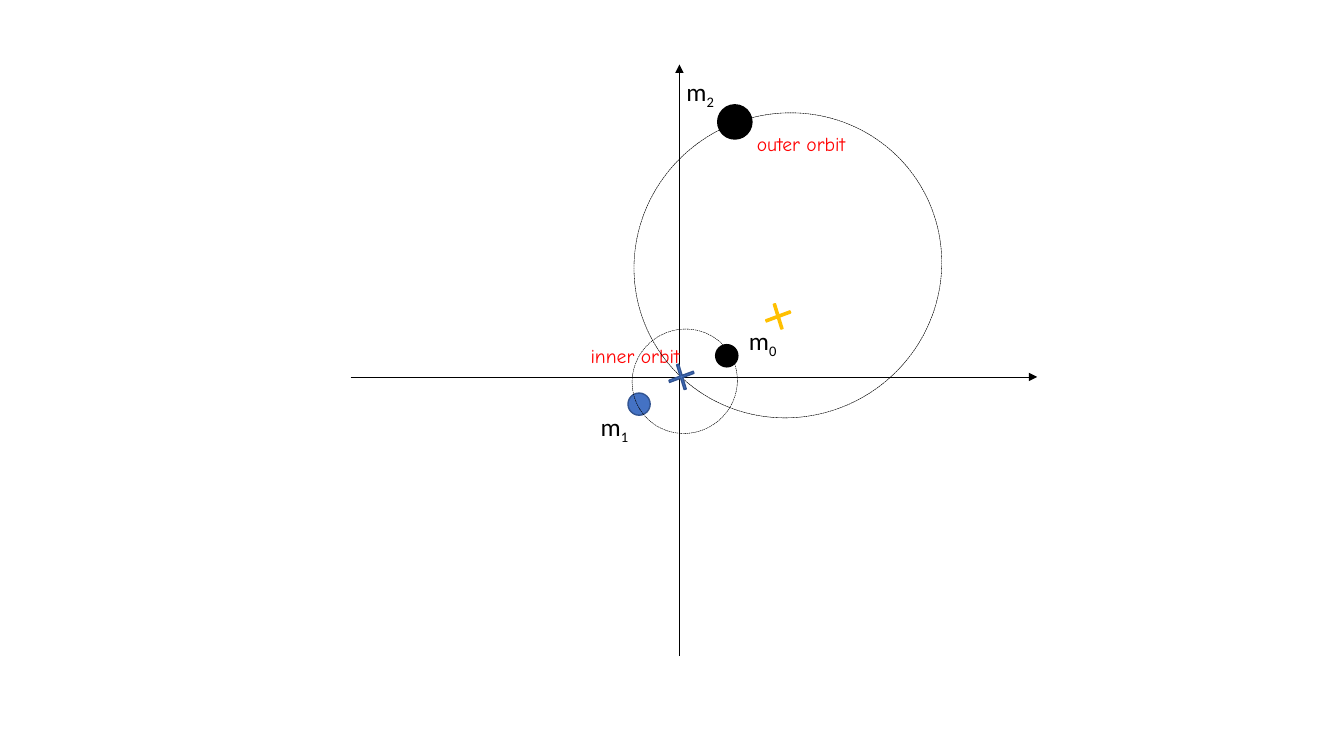
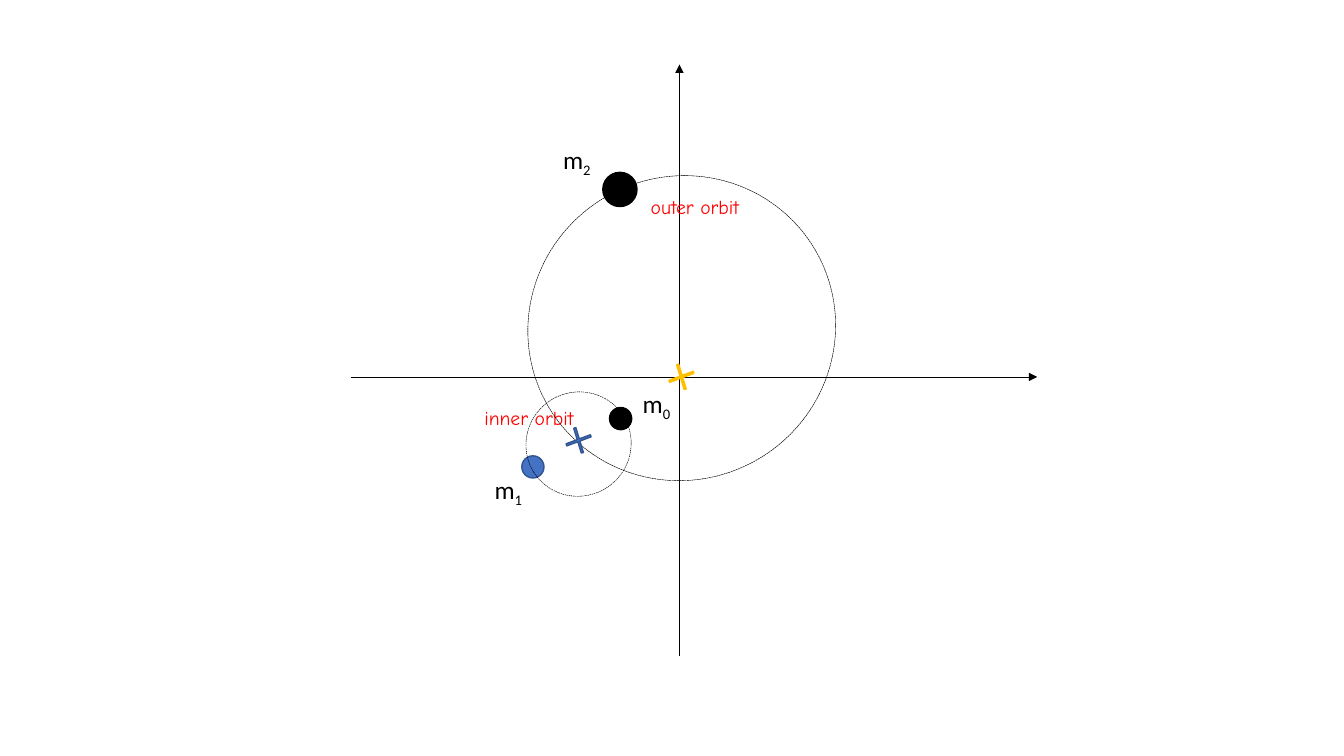
import lxml.etree
import pptx
import pptx.dml.color
import pptx.enum.dml
import pptx.enum.shapes
import pptx.enum.text
import pptx.oxml.ns
import pptx.util

SHAPE = pptx.enum.shapes.MSO_SHAPE
DASH = pptx.enum.dml.MSO_LINE

SLIDE_WIDTH = pptx.util.Inches(13.33)
SLIDE_HEIGHT = pptx.util.Inches(7.5)
CELL = SLIDE_WIDTH / 40
ORIGIN = (20.22, 11.22)  # crossing of the axes, in cells from the top left

BLACK, BLUE, DARK_BLUE = "000000", "4472C4", "325491"
GOLD, RED = "FFC000", "FF0000"

# All positions are centres in cells from the origin, with y pointing down.
ORIGIN_MARK = (0.06, 0)
SCENES = [
    {"shift": (0, 0), "m2": (1.65, -7.59), "m2_label": (-1, -0.9),
     "inner_centre": ORIGIN_MARK, "outer_centre": (2.94, -1.8)},
    {"shift": (-3.16, 1.87), "m2": (-1.77, -5.58), "m2_label": (-1.25, -0.9),
     "inner_centre": (-3, 1.89), "outer_centre": ORIGIN_MARK},
]


def colour(hex_string):
    return pptx.dml.color.RGBColor.from_string(hex_string)


def moved(point, offset):
    return point[0] + offset[0], point[1] + offset[1]


def on_slide(point):
    """Turn cells from the origin into slide lengths."""
    return [round(value * CELL) for value in moved(point, ORIGIN)]


def box(centre, size):
    """Left, top, width and height of a box around a centre."""
    corner = moved(centre, (-size[0] / 2, -size[1] / 2))
    return on_slide(corner) + [round(value * CELL) for value in size]


def style_line(line, line_colour, width, dash=None):
    line.color.rgb = colour(line_colour)
    line.width = pptx.util.Pt(width)
    if dash is not None:
        line.dash_style = dash


def add_axis(slide, start, end):
    axis = slide.shapes.add_connector(
        pptx.enum.shapes.MSO_CONNECTOR.STRAIGHT, *on_slide(start), *on_slide(end))
    style_line(axis.line, BLACK, 0.5)
    qn = pptx.oxml.ns.qn
    properties = axis._element.spPr
    lxml.etree.SubElement(properties.find(qn("a:ln")), qn("a:tailEnd"), type="triangle")
    lxml.etree.SubElement(properties, qn("a:effectLst"))


def add_figure(slide, kind, centre, size, fill=None, rotation=0, adjustment=None):
    shape = slide.shapes.add_shape(kind, *box(centre, size))
    shape.shadow.inherit = False
    shape.rotation = rotation
    if adjustment is not None:
        shape.adjustments[0] = adjustment
    if fill is None:
        shape.fill.background()
    else:
        shape.fill.solid()
        shape.fill.fore_color.rgb = colour(fill)
    return shape


def add_body(slide, centre, diameter, fill, outline):
    body = add_figure(slide, SHAPE.OVAL, centre, (diameter, diameter), fill)
    style_line(body.line, outline, 1)


def add_orbit(slide, centre, size, dash):
    orbit = add_figure(slide, SHAPE.DONUT, centre, size, rotation=327.8, adjustment=0)
    style_line(orbit.line, BLACK, 0.25, dash)


def add_centre_mark(slide, centre, fill, outline):
    mark = add_figure(slide, SHAPE.MATH_MULTIPLY, centre, (1.02, 1.08), fill,
                      rotation=26.3, adjustment=0.064)
    style_line(mark.line, outline, 1)


def add_text(slide, centre, size, wrap):
    """Add an empty text box and return its paragraph."""
    frame = slide.shapes.add_textbox(*box(centre, size)).text_frame
    frame.word_wrap = wrap
    frame.auto_size = pptx.enum.text.MSO_AUTO_SIZE.SHAPE_TO_FIT_TEXT
    return frame.paragraphs[0]


def add_run(paragraph, text, font_name, size, font_colour):
    run = paragraph.add_run()
    run.text = text
    run.font.name = font_name
    run.font.size = pptx.util.Pt(size)
    run.font.color.rgb = colour(font_colour)
    return run


def add_mass_label(slide, centre, index):
    paragraph = add_text(slide, centre, (1.47, 1.2), wrap=False)
    add_run(paragraph, "m", "Calibri", 18, BLACK)
    subscript = add_run(paragraph, index, "Calibri", 18, BLACK)
    subscript.font._element.set("baseline", "-25000")


def add_orbit_label(slide, centre, text):
    paragraph = add_text(slide, centre, (3.66, 1.02), wrap=True)
    add_run(paragraph, text, "Comic Neue", 14, RED)


def add_scene(presentation, scene):
    slide = presentation.slides.add_slide(presentation.slide_layouts[6])
    shift = scene["shift"]
    add_axis(slide, (-9.78, 0), (10.65, 0))
    add_axis(slide, (0, 8.31), (0, -9.3))

    masses = [
        ("2", scene["m2"], 1.02, BLACK, BLACK, scene["m2_label"]),
        ("1", moved((-1.2, 0.81), shift), 0.66, BLUE, DARK_BLUE, (-0.7, 0.66)),
        ("0", moved((1.41, -0.63), shift), 0.66, BLACK, BLACK, (1.1, -0.45)),
    ]
    for _, centre, diameter, fill, outline, _ in masses:
        add_body(slide, centre, diameter, fill, outline)
    for index, centre, _, _, _, label_offset in masses:
        add_mass_label(slide, moved(centre, label_offset), index)

    orbits = [
        ("inner orbit", (0.16, 0.13), (3.15, 3.09), DASH.DASH_DOT, (-1.11, -0.63)),
        ("outer orbit", (3.23, -3.32), (9.21, 9.03), DASH.DASH, (3.84, -6.93)),
    ]
    for name, centre, size, dash, label_centre in orbits:
        add_orbit(slide, moved(centre, shift), size, dash)
        add_orbit_label(slide, moved(label_centre, shift), name)

    add_centre_mark(slide, scene["inner_centre"], BLUE, DARK_BLUE)
    add_centre_mark(slide, scene["outer_centre"], GOLD, GOLD)


def main():
    presentation = pptx.Presentation()
    presentation.slide_width = SLIDE_WIDTH
    presentation.slide_height = SLIDE_HEIGHT
    for scene in SCENES:
        add_scene(presentation, scene)
    presentation.save("out.pptx")


if __name__ == "__main__":
    main()
